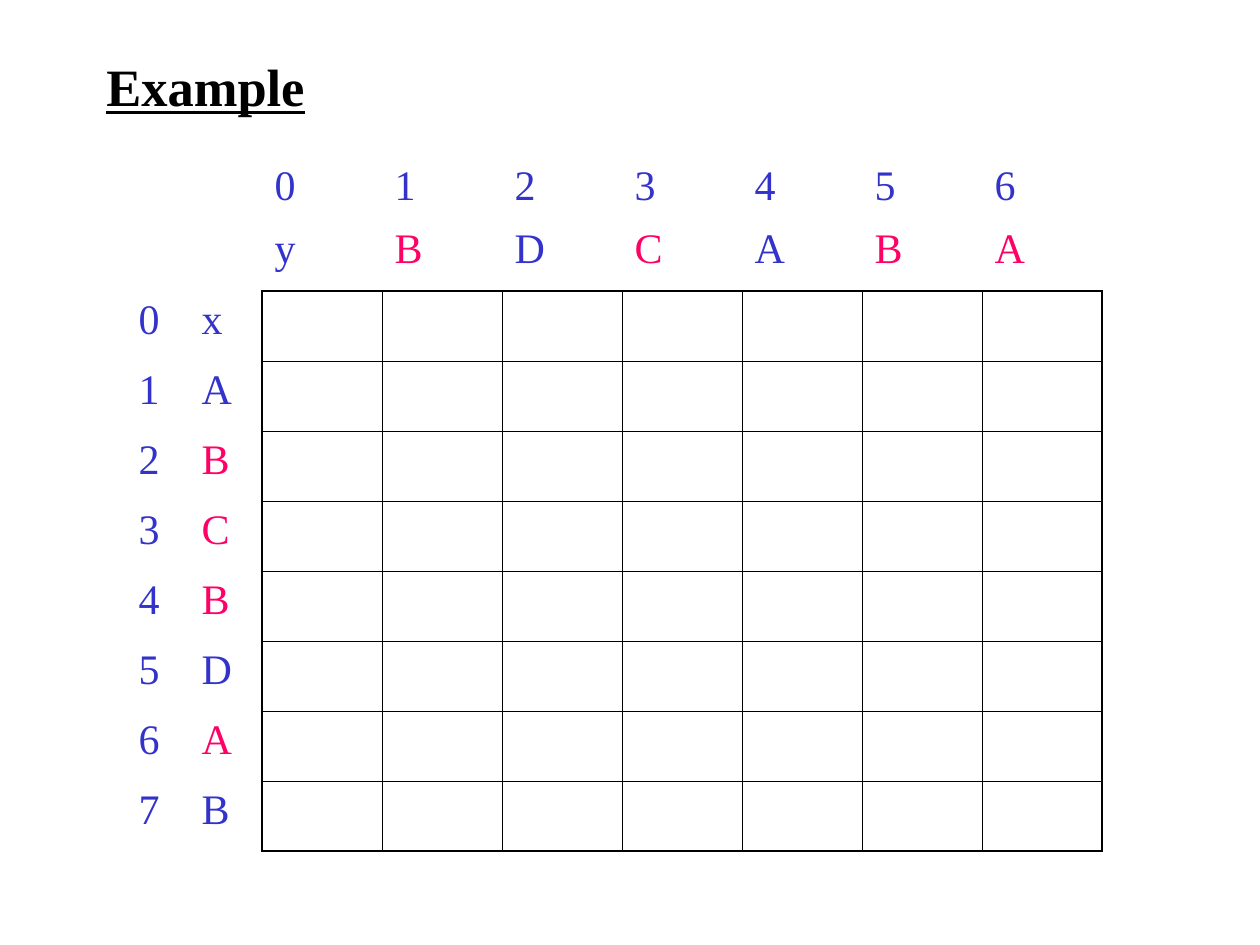
from lxml.etree import SubElement
from pptx import Presentation
from pptx.dml.color import RGBColor
from pptx.enum.text import MSO_ANCHOR
from pptx.oxml.ns import qn
from pptx.util import Pt

EMU_PER_PX = 914400 / 126
NO_STYLE_NO_GRID = "{2D5ABB26-0587-4C30-8999-92F81FD0307C}"

BLACK = "000000"
BLUE = "3333CC"
PINK = "FF0066"

COLUMN_WIDTH, ROW_HEIGHT = 120, 70
LABEL_SIZE = 63
GRID_LEFT, GRID_TOP = 262, 291
X_LEFT, Y_TOP = 189, 220

X_LABELS = "xABCBDAB"
Y_LABELS = "yBDCABA"
X_MATCHES = {2, 3, 4, 6}
Y_MATCHES = {1, 3, 5, 6}


def px(length):
    return round(length * EMU_PER_PX)


def color(hex_string):
    return RGBColor.from_string(hex_string)


class SlideBuilder:
    """Holds the text style and the slide being built."""

    font_name = "Times New Roman"
    title_size = 30
    label_size = 24
    inner_line = 0.45
    outer_line = 1.08

    def __init__(self, presentation):
        self.slide = presentation.slides.add_slide(presentation.slide_layouts[6])

    def add_run(self, paragraph, text, size, hex_color, bold=False, underline=False):
        run = paragraph.add_run()
        run.text = text
        font = run.font
        font.name = self.font_name
        font.size = Pt(size)
        font.bold = bold
        font.underline = underline
        font.color.rgb = color(hex_color)

    def add_title(self, text, left, top, width, height):
        shape = self.slide.shapes.add_textbox(px(left), px(top), px(width), px(height))
        text_frame = shape.text_frame
        text_frame.word_wrap = True
        text_frame.vertical_anchor = MSO_ANCHOR.MIDDLE
        self.add_run(text_frame.paragraphs[0], text, self.title_size, BLACK,
                     bold=True, underline=True)

    def add_table(self, left, top, columns, rows, column_width, row_height):
        """Add an unstyled table without fills or borders."""
        shape = self.slide.shapes.add_table(
            rows, columns, px(left), px(top),
            px(columns * column_width), px(rows * row_height))
        table = shape.table
        table.first_row = table.horz_banding = False
        table._tbl.tblPr.find(qn("a:tableStyleId")).text = NO_STYLE_NO_GRID
        for column in table.columns:
            column.width = px(column_width)
        for row in table.rows:
            row.height = px(row_height)
        for cell in table.iter_cells():
            cell.fill.background()
        return table

    def add_labels(self, left, top, labels, column_width, row_height,
                   vertical=False, matches=()):
        """Add a row or column of labels, with the matches in pink."""
        columns, rows = (1, len(labels)) if vertical else (len(labels), 1)
        table = self.add_table(left, top, columns, rows, column_width, row_height)
        for index, (cell, label) in enumerate(zip(table.iter_cells(), labels)):
            self.add_run(cell.text_frame.paragraphs[0], label, self.label_size,
                         PINK if index in matches else BLUE)

    def add_grid(self, left, top, columns, rows, column_width, row_height):
        """Add an empty table with thin inner and thicker outer borders."""
        table = self.add_table(left, top, columns, rows, column_width, row_height)
        for index, cell in enumerate(table.iter_cells()):
            row, column = divmod(index, columns)
            outer_sides = {
                "L": column == 0,
                "R": column == columns - 1,
                "T": row == 0,
                "B": row == rows - 1,
            }
            self.set_borders(cell, outer_sides)

    def set_borders(self, cell, outer_sides):
        properties = cell._tc.get_or_add_tcPr()
        for position, (side, is_outer) in enumerate(outer_sides.items()):
            width = self.outer_line if is_outer else self.inner_line
            line = SubElement(properties, qn(f"a:ln{side}"), w=str(Pt(width)))
            fill = SubElement(line, qn("a:solidFill"))
            SubElement(fill, qn("a:srgbClr"), val=BLACK)
            properties.insert(position, line)


def main():
    presentation = Presentation()
    presentation.slide_width = px(1260)
    presentation.slide_height = px(945)
    builder = SlideBuilder(presentation)

    builder.add_title("Example", 94, 49, 850, 73)
    builder.add_grid(GRID_LEFT, GRID_TOP, len(Y_LABELS), len(X_LABELS),
                     COLUMN_WIDTH, ROW_HEIGHT)

    y_indices = [str(index) for index in range(len(Y_LABELS))]
    builder.add_labels(GRID_LEFT, Y_TOP, Y_LABELS, COLUMN_WIDTH, LABEL_SIZE,
                       matches=Y_MATCHES)
    builder.add_labels(GRID_LEFT, Y_TOP - LABEL_SIZE, y_indices,
                       COLUMN_WIDTH, LABEL_SIZE)

    x_indices = [str(index) for index in range(len(X_LABELS))]
    builder.add_labels(X_LEFT, GRID_TOP, X_LABELS, LABEL_SIZE, ROW_HEIGHT,
                       vertical=True, matches=X_MATCHES)
    builder.add_labels(X_LEFT - LABEL_SIZE, GRID_TOP, x_indices,
                       LABEL_SIZE, ROW_HEIGHT, vertical=True)

    presentation.save("out.pptx")


if __name__ == "__main__":
    main()
